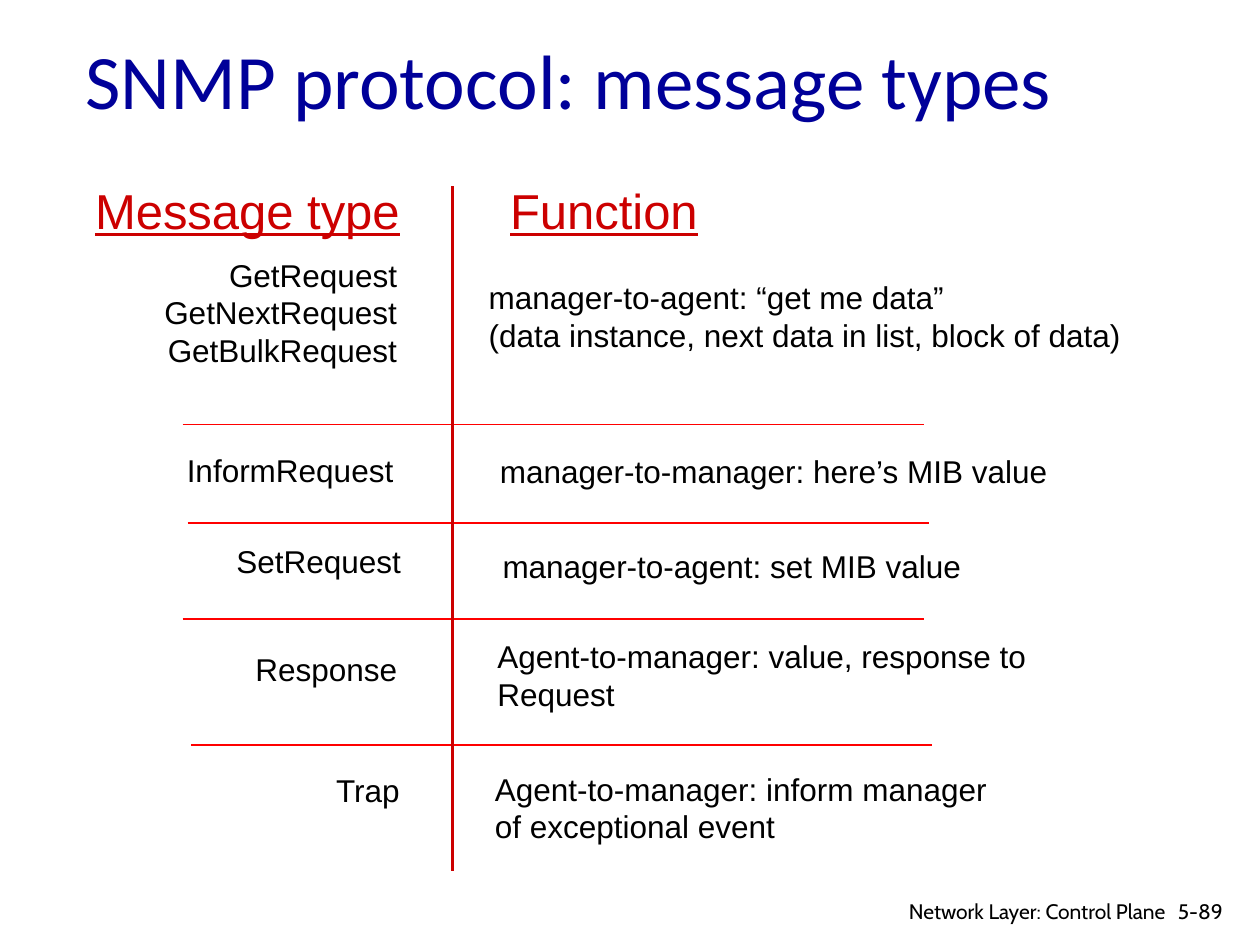
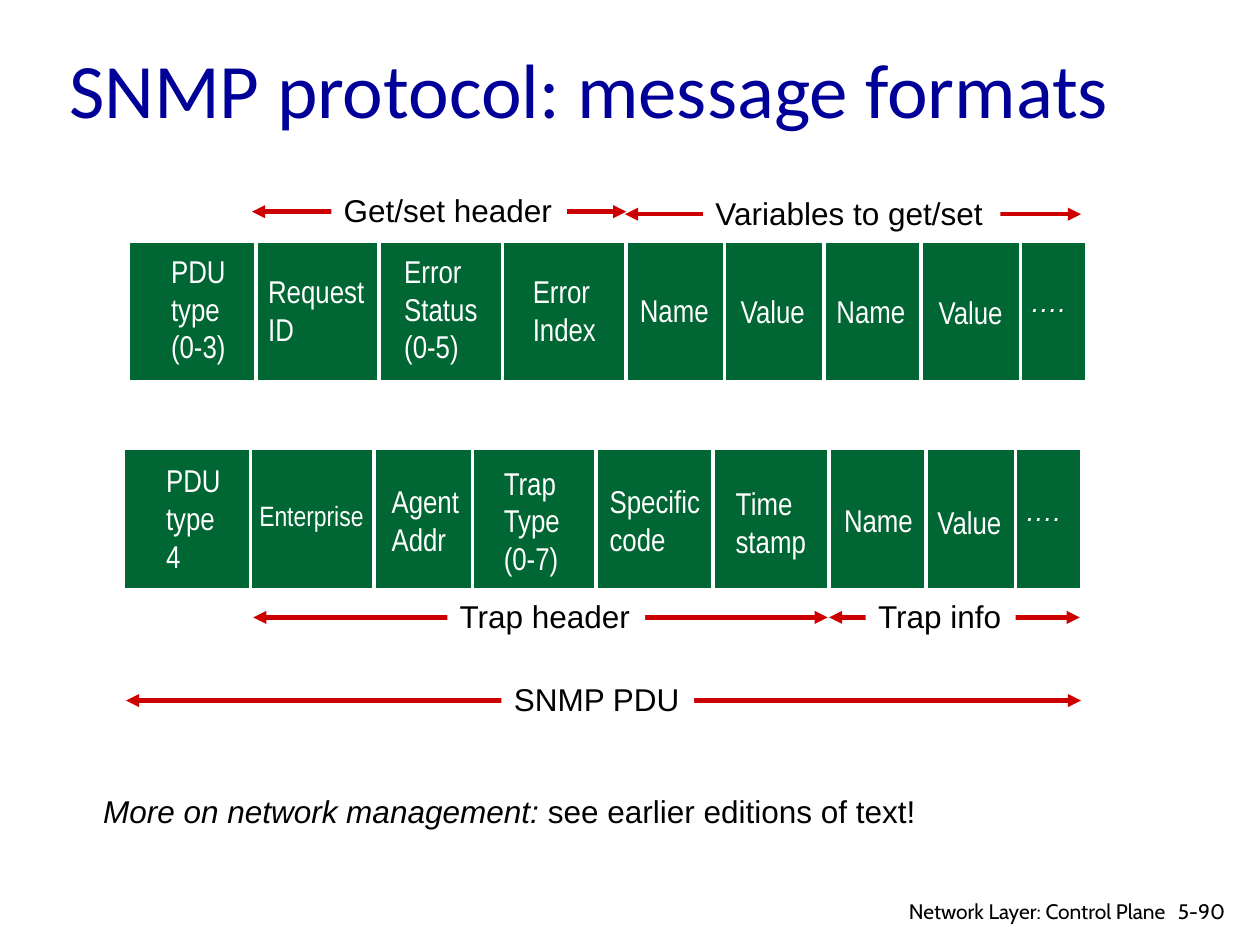
from dataclasses import dataclass

from lxml.etree import SubElement
from pptx import Presentation
from pptx.dml.color import RGBColor
from pptx.enum.shapes import MSO_CONNECTOR, MSO_SHAPE
from pptx.enum.text import MSO_ANCHOR, PP_ALIGN
from pptx.oxml.ns import qn
from pptx.util import Inches, Pt

NAVY = RGBColor(0x00, 0x00, 0x99)
CRIMSON = RGBColor(0xCC, 0x00, 0x00)
RED = RGBColor(0xFF, 0x00, 0x00)
GREEN = RGBColor(0x00, 0x66, 0x33)
WHITE = RGBColor(0xFF, 0xFF, 0xFF)
BLACK = RGBColor(0x00, 0x00, 0x00)

BODY_FONT = "Arial"
CELL_FONT = "Arial Narrow"
TITLE_FONT = "Calibri"
FOOTER_FONT = "Cabin"
NAMES_WIDTH = 2.82
FUNCTION_WIDTH = 5.4
RULE_LENGTH = 5.88
PACKET_WIDTH = 7.59
PACKET_HEIGHT = 1.1


@dataclass(frozen=True)
class Style:
    size: float = 18
    font: str = BODY_FONT
    color: RGBColor = BLACK
    italic: bool = False
    underline: bool = False


@dataclass(frozen=True)
class MessageRow:
    names: tuple[str, ...]
    names_right: float
    names_top: float
    function: tuple[str, ...]
    function_left: float
    function_top: float


@dataclass(frozen=True)
class Field:
    lines: tuple[str, ...]
    left: float
    top: float
    width: float
    size: float = 18


@dataclass(frozen=True)
class Packet:
    left: float
    top: float
    dividers: tuple[float, ...]
    fields: tuple[Field, ...]
    dots_left: float
    dots_top: float


@dataclass(frozen=True)
class Span:
    label: str
    start: float
    end: float
    y: float
    label_left: float
    label_width: float


BODY = Style()
HEADING = Style(28, color=CRIMSON, underline=True)
TITLE = Style(44, TITLE_FONT, NAVY)
FOOTER = Style(12, FOOTER_FONT)
DOTS = Style(16, color=WHITE, italic=True)

MESSAGE_ROWS = (
    MessageRow(("GetRequest", "GetNextRequest", "GetBulkRequest"), 3.25, 1.98,
               ("manager-to-agent: “get me data”",
                "(data instance, next data in list, block of data)"), 3.78, 2.16),
    MessageRow(("InformRequest",), 3.22, 3.53,
               ("manager-to-manager: here’s MIB value",), 3.87, 3.54),
    MessageRow(("SetRequest",), 3.28, 4.25,
               ("manager-to-agent: set MIB value",), 3.89, 4.29),
    MessageRow(("Response",), 3.25, 5.11,
               ("Agent-to-manager: value, response to", "Request"), 3.85, 5.01),
    MessageRow(("Trap",), 3.27, 6.07,
               ("Agent-to-manager: inform manager", "of exceptional event"), 3.83, 6.06),
)
ROW_RULES = ((1.45, 3.37), (1.49, 4.15), (1.45, 4.91), (1.52, 5.91))

PACKETS = (
    Packet(1.03, 1.92, (2.03, 3.01, 3.99, 4.97, 5.75, 6.54, 7.31, 8.1), (
        Field(("PDU", "type", "(0-3)"), 1.26, 1.95, 0.64),
        Field(("Request", "ID"), 2.03, 2.11, 0.97),
        Field(("Error", "Status", "(0-5)"), 3.11, 1.95, 0.79),
        Field(("Error", "Index"), 4.13, 2.11, 0.71),
        Field(("Name",), 4.98, 2.26, 0.76),
        Field(("Value",), 5.78, 2.27, 0.72),
        Field(("Name",), 6.54, 2.27, 0.75),
        Field(("Value",), 7.35, 2.28, 0.72),
    ), 8.08, 2.31),
    Packet(0.99, 3.57, (1.99, 2.97, 3.75, 4.73, 5.66, 6.58, 7.35, 8.06), (
        Field(("PDU", "type", "4"), 1.22, 3.61, 0.64),
        Field(("Enterprise",), 1.96, 3.91, 1.04, 16),
        Field(("Agent", "Addr"), 3.01, 3.78, 0.74),
        Field(("Trap", "Type", "(0-7)"), 3.9, 3.63, 0.65),
        Field(("Specific", "code"), 4.74, 3.78, 0.93),
        Field(("Time", "stamp"), 5.74, 3.79, 0.77),
        Field(("Name",), 6.6, 3.93, 0.75),
        Field(("Value",), 7.34, 3.94, 0.72),
    ), 8.04, 3.97),
)

SPANS = (
    Span("Get/set header", 2, 4.97, 1.68, 2.63, 1.87),
    Span("Variables to get/set", 4.96, 8.58, 1.7, 5.58, 2.36),
    Span("Trap header", 2.01, 6.57, 4.9, 3.55, 1.57),
    Span("Trap info", 6.58, 8.57, 4.9, 6.87, 1.19),
    Span("SNMP PDU", 1, 8.58, 5.56, 3.98, 1.53),
)


def add_run(paragraph, text: str, style: Style) -> None:
    run = paragraph.add_run()
    run.text = text
    run.font.size = Pt(style.size)
    run.font.name = style.font
    run.font.color.rgb = style.color
    run.font.italic = style.italic
    run.font.underline = style.underline


def fill_lines(frame, lines: tuple[str, ...], style: Style, align=PP_ALIGN.LEFT) -> None:
    for index, line in enumerate(lines):
        paragraph = frame.add_paragraph() if index else frame.paragraphs[0]
        paragraph.alignment = align
        add_run(paragraph, line, style)


def add_text(slide, left: float, top: float, width: float, lines: tuple[str, ...],
             style: Style = BODY, align=PP_ALIGN.LEFT, wrap: bool = True,
             height: float | None = None):
    if height is None:
        height = 0.1 + 0.3 * len(lines)
    box = slide.shapes.add_textbox(Inches(left), Inches(top), Inches(width), Inches(height))
    frame = box.text_frame
    frame.word_wrap = wrap
    fill_lines(frame, lines, style, align)
    return frame


def add_rectangle(slide, left: float, top: float, width: float, height: float,
                  color: RGBColor):
    rectangle = slide.shapes.add_shape(
        MSO_SHAPE.RECTANGLE, Inches(left), Inches(top), Inches(width), Inches(height))
    rectangle.shadow.inherit = False
    rectangle.fill.solid()
    rectangle.fill.fore_color.rgb = color
    rectangle.line.fill.background()
    return rectangle


def add_line(slide, start: tuple[float, float], end: tuple[float, float],
             color: RGBColor, weight: float, arrows: bool = False) -> None:
    line = slide.shapes.add_connector(
        MSO_CONNECTOR.STRAIGHT, *(Inches(value) for value in start + end))
    line.line.color.rgb = color
    line.line.width = Pt(weight)
    if arrows:
        outline = line.line._get_or_add_ln()
        for tag in ("a:headEnd", "a:tailEnd"):
            SubElement(outline, qn(tag), type="triangle")
    SubElement(line._element.spPr, qn("a:effectLst"))


def start_slide(deck, title: str, number: str, left: float, top: float, height: float):
    slide = deck.slides.add_slide(deck.slide_layouts[6])
    frame = add_text(slide, left, top, 8.5, (title,), TITLE, height=height)
    frame.vertical_anchor = MSO_ANCHOR.MIDDLE
    add_text(slide, 9.25, 7.08, 0.6, (number,), FOOTER, height=0.3)
    add_text(slide, 6.97, 7.08, 2.38, ("Network Layer: Control Plane",), FOOTER,
             PP_ALIGN.RIGHT, height=0.26)
    return slide


def draw_message_row(slide, row: MessageRow) -> None:
    add_text(slide, row.names_right - NAMES_WIDTH, row.names_top, NAMES_WIDTH,
             row.names, align=PP_ALIGN.RIGHT)
    add_text(slide, row.function_left, row.function_top, FUNCTION_WIDTH, row.function)


def draw_packet(slide, packet: Packet) -> None:
    bar = add_rectangle(slide, packet.left, packet.top, PACKET_WIDTH, PACKET_HEIGHT, GREEN)
    bar.line.color.rgb = WHITE
    bar.line.width = Pt(0.75)
    for x in packet.dividers:
        add_line(slide, (x, packet.top), (x, packet.top + PACKET_HEIGHT), WHITE, 2)
    for field in packet.fields:
        add_text(slide, field.left, field.top, field.width, field.lines,
                 Style(field.size, CELL_FONT, WHITE), wrap=False)
    dots = add_text(slide, packet.dots_left, packet.dots_top, 0.54, ("….",), DOTS,
                    wrap=False, height=0.29)
    dots.paragraphs[0].line_spacing = Pt(12)


def draw_span(slide, span: Span) -> None:
    add_line(slide, (span.start, span.y), (span.end, span.y), CRIMSON, 2.5, arrows=True)
    label = add_rectangle(slide, span.label_left, span.y - 0.21, span.label_width, 0.4, WHITE)
    frame = label.text_frame
    frame.word_wrap = False
    frame.vertical_anchor = MSO_ANCHOR.TOP
    fill_lines(frame, (span.label,), BODY)


def build_message_types(deck) -> None:
    slide = start_slide(deck, "SNMP protocol: message types", "5-89", 0.58, 0, 1.25)
    add_text(slide, 0.52, 1.38, 2.75, ("Message type",), HEADING, PP_ALIGN.RIGHT, height=0.57)
    add_text(slide, 3.95, 1.38, 1.8, ("Function",), HEADING, height=0.57)
    for row in MESSAGE_ROWS:
        draw_message_row(slide, row)
    for left, y in ROW_RULES:
        add_line(slide, (left, y), (left + RULE_LENGTH, y), RED, 1)
    add_line(slide, (3.59, 1.48), (3.59, 6.91), CRIMSON, 2)


def build_message_formats(deck) -> None:
    slide = start_slide(deck, "SNMP protocol: message formats", "5-90", 0.45, 0.24, 0.91)
    for packet in PACKETS:
        draw_packet(slide, packet)
    for span in SPANS:
        draw_span(slide, span)
    note = add_text(slide, 0.72, 6.24, 6.71, ("More on network management: ",),
                    Style(italic=True), wrap=False)
    add_run(note.paragraphs[0], "see earlier editions of text!", BODY)


def main() -> None:
    deck = Presentation()
    deck.slide_width = Inches(10)
    deck.slide_height = Inches(7.5)
    build_message_types(deck)
    build_message_formats(deck)
    deck.save("out.pptx")


if __name__ == "__main__":
    main()
